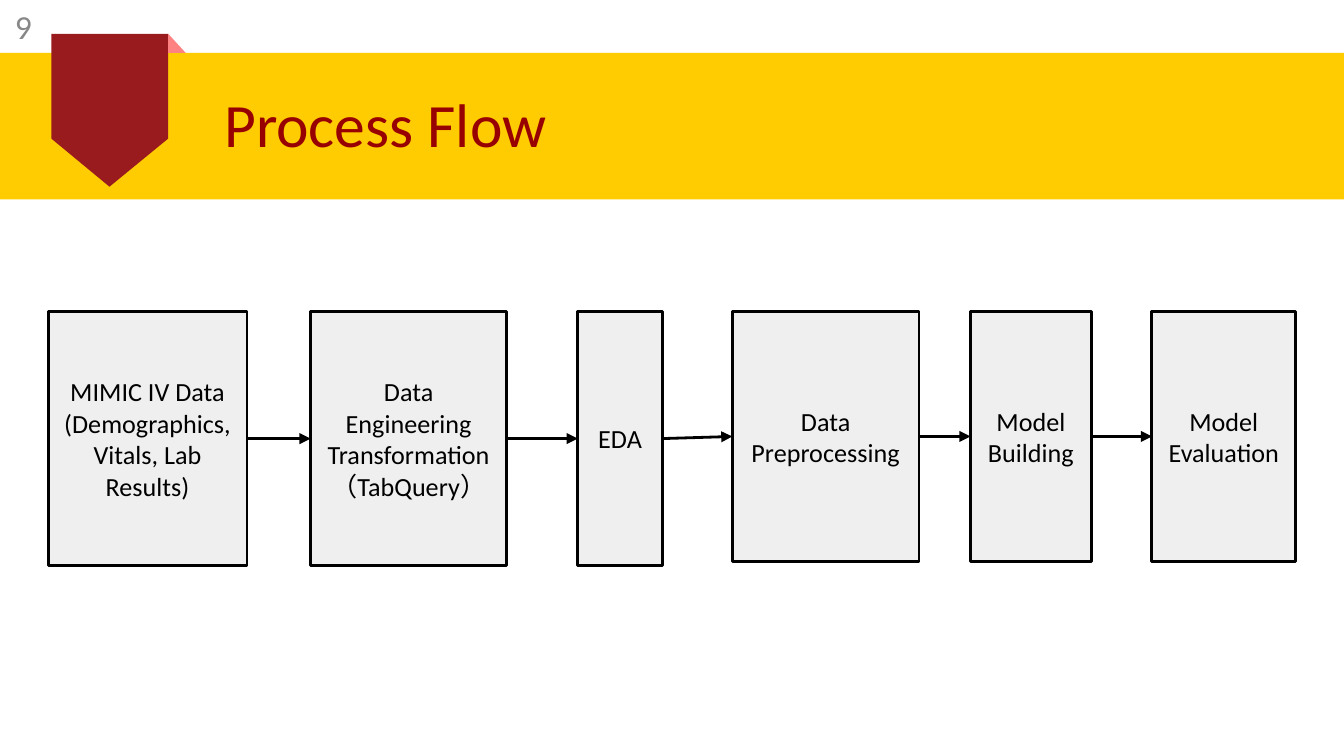
import pptx
import pptx.dml.color
import pptx.enum.shapes
import pptx.enum.text
import pptx.oxml
import pptx.oxml.ns
import pptx.util
from dataclasses import dataclass

Cm = pptx.util.Cm
Pt = pptx.util.Pt
Kind = pptx.enum.shapes.MSO_SHAPE
Align = pptx.enum.text.PP_ALIGN


@dataclass(frozen=True)
class Theme:
    gold: str = "FFCB01"
    red: str = "991B1E"
    pink: str = "FE8282"
    title: str = "980101"
    box: str = "EFEFEF"
    ink: str = "000000"
    gray: str = "888888"
    font: str = "Calibri"
    wide: str = "Roboto"
    big: int = 33
    mid: int = 18
    small: int = 14
    rule: float = 1.5


theme = Theme()


def paint(shape, fill, line=None):
    shape.shadow.inherit = False
    shape.fill.solid()
    shape.fill.fore_color.rgb = pptx.dml.color.RGBColor.from_string(fill)
    if line:
        shape.line.color.rgb = pptx.dml.color.RGBColor.from_string(line)
        shape.line.width = Pt(theme.rule)
    else:
        shape.line.fill.background()


def write(shape, text, size, color, align, inset):
    frame = shape.text_frame
    frame.text = text
    frame.word_wrap = True
    frame.vertical_anchor = pptx.enum.text.MSO_ANCHOR.MIDDLE
    frame.margin_left = frame.margin_right = Cm(inset)
    frame.margin_top = frame.margin_bottom = Cm(inset)
    for para in frame.paragraphs:
        para.alignment = align
        for run in para.runs:
            run.font.name = theme.font
            run.font.size = Pt(size)
            run.font.color.rgb = pptx.dml.color.RGBColor.from_string(color)


deck = pptx.Presentation()
deck.slide_width = Cm(25.4)
deck.slide_height = Cm(14.29)
slide = deck.slides.add_slide(deck.slide_layouts[6])
shapes = slide.shapes

# Header band with ribbon and fold
band = shapes.add_shape(Kind.RECTANGLE, 0, Cm(1), deck.slide_width, Cm(2.77))
paint(band, theme.gold)

ribbon = [(3.18, 0.64), (3.18, 2.62), (2.07, 3.53), (0.97, 2.62), (0.97, 0.64)]
fold = [(3.18, 1), (3.51, 1), (3.18, 0.64)]
for points, color in [(ribbon, theme.red), (fold, theme.pink)]:
    spots = [(Cm(x), Cm(y)) for x, y in points]
    pen = shapes.build_freeform(*spots[0])
    pen.add_line_segments(spots[1:], close=True)
    paint(pen.convert_to_shape(), color)

title = shapes.add_textbox(Cm(4.14), Cm(1.02), Cm(19.5), Cm(2.77))
write(title, "Process Flow", theme.big, theme.title, Align.LEFT, 0.1)
title.text_frame.paragraphs[0].line_spacing = 0.9

number = shapes.add_textbox(0, 0, Cm(0.89), Cm(0.97))
write(number, "9", theme.mid, theme.gray, Align.CENTER, 0.1)

# Steps: left, width, height, text
steps = [
    (0.91, 3.76, 4.8, "MIMIC IV Data (Demographics, Vitals, Lab Results)"),
    (5.87, 3.71, 4.8, "Data Engineering\nTransformation\n（TabQuery）"),
    (10.92, 1.6, 4.8, "EDA"),
    (13.84, 3.53, 4.72, "Data Preprocessing"),
    (18.34, 2.29, 4.72, "Model Building"),
    (21.77, 2.72, 4.72, "Model Evaluation"),
]
boxes = []
for left, width, height, text in steps:
    box = shapes.add_shape(Kind.RECTANGLE, Cm(left), Cm(5.89), Cm(width), Cm(height))
    paint(box, theme.box, theme.ink)
    write(box, text, theme.small, theme.ink, Align.CENTER, 0.25)
    boxes.append(box)

# The closing bracket has its own font
last = boxes[1].text_frame.paragraphs[-1]
last.runs[0].text = last.text[:-1]
mark = last.add_run()
mark.text = "）"
mark.font.name = theme.wide
mark.font.size = Pt(theme.small)
mark.font.color.rgb = pptx.dml.color.RGBColor.from_string(theme.ink)

# Arrows from the right side of each step to the left side of the next
for start, end in zip(boxes, boxes[1:]):
    arrow = shapes.add_connector(pptx.enum.shapes.MSO_CONNECTOR.STRAIGHT, 0, 0, 0, 0)
    arrow.begin_connect(start, 3)
    arrow.end_connect(end, 1)
    arrow.line.color.rgb = pptx.dml.color.RGBColor.from_string(theme.ink)
    arrow.line.width = Pt(theme.rule)
    head = pptx.oxml.parse_xml(
        f'<a:tailEnd {pptx.oxml.ns.nsdecls("a")} type="triangle"/>')
    arrow.line._get_or_add_ln().append(head)
    flat = pptx.oxml.parse_xml(f'<a:effectLst {pptx.oxml.ns.nsdecls("a")}/>')
    arrow._element.spPr.append(flat)

deck.save("out.pptx")
